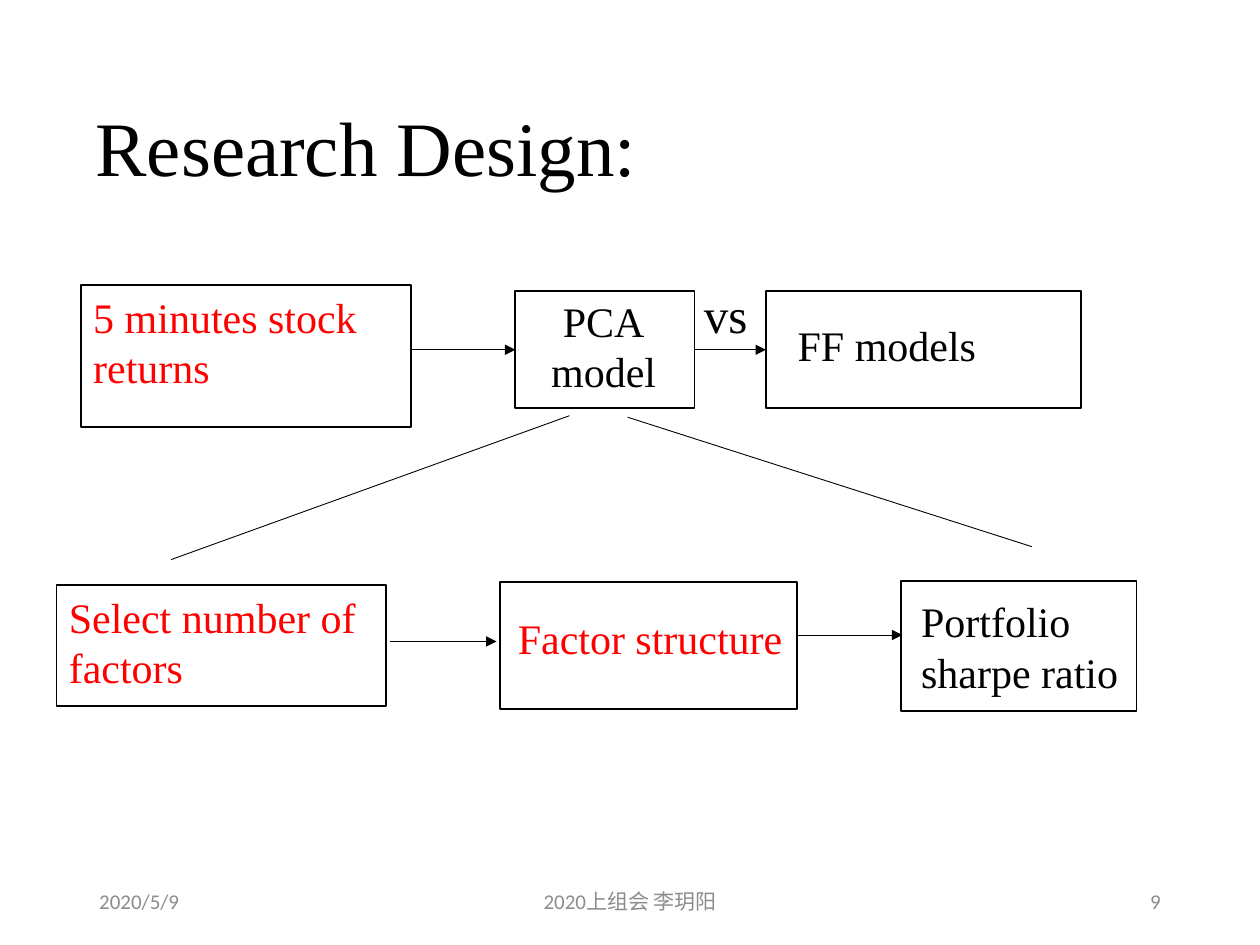
import dataclasses

import lxml.etree
import pptx
import pptx.dml.color
import pptx.enum.shapes
import pptx.enum.text
import pptx.oxml.ns
import pptx.util

Cm = pptx.util.Cm
Pt = pptx.util.Pt
RGB = pptx.dml.color.RGBColor
ALIGN = pptx.enum.text.PP_ALIGN
ANCHOR = pptx.enum.text.MSO_ANCHOR
qn = pptx.oxml.ns.qn


@dataclasses.dataclass(frozen=True)
class Theme:
    ink: RGB = RGB(0x00, 0x00, 0x00)
    accent: RGB = RGB(0xFF, 0x00, 0x00)
    muted: RGB = RGB(0x8C, 0x8C, 0x8C)
    body_font: str = "Times New Roman"
    footer_font: str = "Calibri"
    title_size: int = 44
    versus_size: int = 28
    box_size: int = 24
    footer_size: int = 12
    box_line: float = 1
    arrow_line: float = 0.5


THEME = Theme()


def write_text(tf, text, *, size=THEME.box_size, color=THEME.ink,
               font=THEME.body_font, align=ALIGN.LEFT, anchor=ANCHOR.TOP,
               inset=(0.25, 0.13), right=0.25, spacing=None):
    tf.word_wrap = True
    tf.vertical_anchor = anchor
    tf.margin_left, tf.margin_top = Cm(inset[0]), Cm(inset[1])
    tf.margin_right, tf.margin_bottom = Cm(right), Cm(0.13)
    for i, line in enumerate(text.split("\n")):
        p = tf.add_paragraph() if i else tf.paragraphs[0]
        p.alignment = align
        p.line_spacing = spacing
        r = p.add_run()
        r.text = line
        r.font.name = font
        r.font.size = Pt(size)
        r.font.color.rgb = color


def add_label(s, text, at, **fmt):
    sp = s.shapes.add_textbox(*map(Cm, at))
    write_text(sp.text_frame, text, **fmt)


def add_box(s, text, at, **fmt):
    sp = s.shapes.add_shape(pptx.enum.shapes.MSO_SHAPE.RECTANGLE, *map(Cm, at))
    sp.shadow.inherit = False
    sp.fill.background()
    sp.line.color.rgb = THEME.ink
    sp.line.width = Pt(THEME.box_line)
    write_text(sp.text_frame, text, **fmt)
    return sp


def add_line(s, start, end, arrow=False):
    cx = s.shapes.add_connector(pptx.enum.shapes.MSO_CONNECTOR.STRAIGHT,
                                *map(Cm, start + end))
    cx.line.color.rgb = THEME.ink
    cx.line.width = Pt(THEME.arrow_line)
    if arrow:
        lxml.etree.SubElement(cx.line._get_or_add_ln(), qn("a:tailEnd"), type="triangle")
    lxml.etree.SubElement(cx._element.spPr, qn("a:effectLst"))
    return cx


def add_footer(s):
    for text, left, width, align in (
        ("2020/5/9", 1.75, 5.72, ALIGN.LEFT),
        ("2020上组会 李玥阳", 8.41, 8.59, ALIGN.CENTER),
        ("9", 17.93, 5.72, ALIGN.RIGHT),
    ):
        add_label(s, text, (left, 17.65, width, 1.02), align=align,
                  size=THEME.footer_size, color=THEME.muted,
                  font=THEME.footer_font, anchor=ANCHOR.MIDDLE)


def add_models(s):
    add_box(s, "5 minutes stock returns", (1.63, 5.74, 6.65, 2.87), color=THEME.accent)
    pca = add_box(s, "PCA\nmodel", (10.39, 5.87, 3.61, 2.36),
                  align=ALIGN.CENTER, inset=(0, 0.08), right=0.05)
    ff = add_box(s, "FF models", (15.44, 5.87, 6.35, 2.36), inset=(0.64, 0.58))
    add_label(s, "vs", (13.94, 5.61, 1.8, 1.45), size=THEME.versus_size)

    add_line(s, (8.28, 7.05), (10.39, 7.05), arrow=True).end_connect(pca, 1)
    versus = add_line(s, (14, 7.05), (15.44, 7.05), arrow=True)
    versus.begin_connect(pca, 3)
    versus.end_connect(ff, 1)


def add_steps(s):
    add_box(s, "Select number of factors", (1.14, 11.79, 6.65, 2.44), color=THEME.accent)
    add_box(s, "Factor structure", (10.08, 11.73, 5.99, 2.57),
            color=THEME.accent, inset=(0.36, 0.61), right=0)
    add_box(s, "Portfolio sharpe ratio", (18.16, 11.71, 4.75, 2.62),
            inset=(0.41, 0.3), right=0)

    add_line(s, (7.87, 12.93), (10.01, 12.93), arrow=True)
    add_line(s, (16.05, 12.8), (18.19, 12.8), arrow=True)
    add_line(s, (11.48, 8.38), (3.45, 11.28))
    add_line(s, (12.65, 8.41), (20.8, 11.02))


def main():
    prs = pptx.Presentation()
    prs.slide_width, prs.slide_height = Cm(25.4), Cm(19.05)
    s = prs.slides.add_slide(prs.slide_layouts[6])
    add_label(s, "Research Design:", (1.68, 1.22, 21.89, 3.68),
              size=THEME.title_size, anchor=ANCHOR.MIDDLE, spacing=0.9)
    add_models(s)
    add_steps(s)
    add_footer(s)
    prs.save("out.pptx")


if __name__ == "__main__":
    main()
